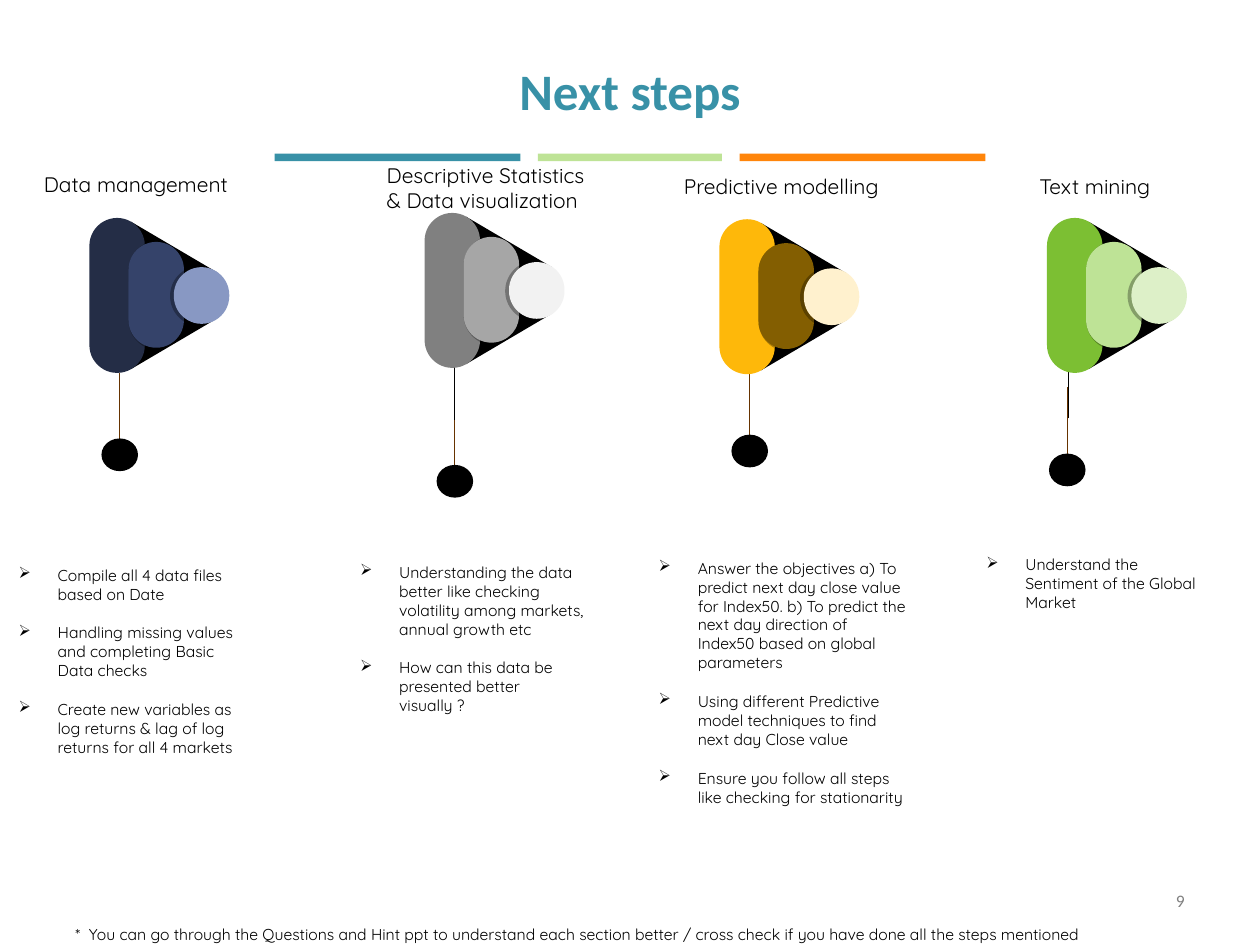
import math
from lxml import etree
from pptx import Presentation
from pptx.dml.color import RGBColor
from pptx.enum import shapes, text
from pptx.oxml import ns
from pptx.util import Inches, Pt

COLORS = {"black": "000000", "brown": "663300", "gray": "808080", "teal": "3891A7",
          "lime": "BEE396", "orange": "FF850A"}
TITLE = "Next steps"
PAGE_NUMBER = "9"
FOOTNOTE = ("*  You can go through the Questions and Hint ppt to understand each section better"
            " / cross check if you have done all the steps mentioned")
BARS = [(2.18, 1.95, "teal"), (4.27, 1.46, "lime"), (5.87, 1.95, "orange")]
BODY_SIZE = 9

# heading_box and body_box are left, top, width, height; stem is x, top, bottom
STEPS = [
    {"heading": ["Data management"], "heading_box": (0.25, 1.31, 3, 0.3),
     "gem": (0.71, 1.73), "shades": ["242D46", "35436A", "8898C3"],
     "stem": (0.95, 2.96, 3.69), "body_box": (0.05, 4.14, 1.97, 2.21),
     "points": ["Compile all 4 data files based on Date",
                "Handling missing values and completing Basic Data checks",
                "Create new variables as log returns & lag of log returns for all 4 markets"]},
    {"heading": ["Descriptive Statistics", "& Data visualization"],
     "heading_box": (2.97, 1.24, 3, 0.5),
     "gem": (3.37, 1.69), "shades": ["808080", "A6A6A6", "F2F2F2"],
     "stem": (3.61, 3.16, 3.9), "extension": (3.61, 2.9, 3.33),
     "body_box": (2.76, 4.11, 1.97, 1.92),
     "points": ["Understanding the data better like checking volatility among markets, "
                "annual growth etc",
                "How can this data be presented better visually ?"]},
    {"heading": ["Predictive modelling"], "heading_box": (5.33, 1.33, 3, 0.3),
     "gem": (5.71, 1.74), "shades": ["FEB80A", "835E01", "FFF1CE"],
     "stem": (5.95, 2.93, 3.66), "body_box": (5.13, 4.31, 2.17, 2.21),
     "points": ["Answer the objectives a) To predict next day close value for Index50. "
                "b) To predict the next day direction of Index50 based on global parameters",
                "Using different Predictive model techniques to find next day Close value",
                "Ensure you follow all steps like checking for stationarity"]},
    {"heading": ["Text mining"], "heading_box": (8.15, 1.33, 3, 0.3),
     "gem": (8.31, 1.73), "shades": ["7CBF33", "BEE396", "DDF0C8"],
     "stem": (8.47, 3.07, 3.81), "extension": (8.48, 2.71, 3.32),
     "body_box": (7.73, 4.1, 1.97, 1.06),
     "points": ["Understand the Sentiment of the Global Market"]},
]

# Gem geometry, measured from the gem's top left corner
WEDGE = [(0.33, 0.03), (1.01, 0.43), (1.1, 0.62), (1.01, 0.8), (0.33, 1.2)]
PILLS = [(0, 0, 0.44, 1.23), (0.31, 0.19, 0.44, 0.84), (0.67, 0.39, 0.44, 0.45)]
SHADES_BETWEEN = [(0.31, 0.42, 0.81), (0.64, 0.62, 0.62)]  # left, upper and lower arc centre
SHADE_RADIUS, SHADE_WIDTH = 0.24, 0.13
BALL_WIDTH, BALL_HEIGHT, BALL_OVERLAP = 0.29, 0.26, 0.21

deck = Presentation()
deck.slide_width, deck.slide_height = Inches(10), Inches(7.5)
page = deck.slides.add_slide(deck.slide_layouts[6])


def paint(shape, color, opacity=None):
    shape.shadow.inherit = False
    shape.fill.solid()
    shape.fill.fore_color.rgb = RGBColor.from_string(color)
    shape.line.fill.background()
    if opacity is not None:
        tint = shape.fill._xPr.find(".//" + ns.qn("a:srgbClr"))
        etree.SubElement(tint, ns.qn("a:alpha")).set("val", str(opacity * 1000))


def add_preset(kind, place, color):
    shape = page.shapes.add_shape(kind, *map(Inches, place))
    paint(shape, color)
    return shape


def add_outline(points, origin, color, opacity=None):
    corners = [(Inches(origin[0] + x), Inches(origin[1] + y)) for x, y in points]
    builder = page.shapes.build_freeform(*corners[0], scale=1.0)
    builder.add_line_segments(corners[1:], close=True)
    paint(builder.convert_to_shape(), color, opacity)


def add_stem(x, top, bottom, color):
    line = page.shapes.add_connector(shapes.MSO_CONNECTOR.STRAIGHT, Inches(x), Inches(bottom),
                                     Inches(x), Inches(top))
    line.line.color.rgb = RGBColor.from_string(COLORS[color])
    line.line.width = Pt(0.75)
    etree.SubElement(line._element.spPr, ns.qn("a:effectLst"))


def add_text(place, lines, size, font="Quicksand", color="black", bold=False, align=None,
             middle=False, bulleted=False):
    box = page.shapes.add_textbox(*map(Inches, place))
    frame = box.text_frame
    frame.word_wrap = True
    if middle:
        frame.vertical_anchor = text.MSO_ANCHOR.MIDDLE
    if bulleted:
        frame.margin_top = frame.margin_bottom = Inches(0.1)
    frame.text = "\n".join(lines)
    for number, paragraph in enumerate(frame.paragraphs):
        if align:
            paragraph.alignment = align
        if bulleted:
            if number:
                paragraph.space_before = Pt(size * 1.25)
            props = paragraph._p.get_or_add_pPr()
            props.set("marL", str(Inches(0.31)))
            props.set("indent", str(-Inches(0.31)))
            etree.SubElement(props, ns.qn("a:buChar")).set("char", "➢")
        for span in paragraph.runs:
            span.font.size, span.font.name, span.font.bold = Pt(size), font, bold
            span.font.color.rgb = RGBColor.from_string(COLORS[color])


def add_pill(gem, index, color):
    left, top, width, height = PILLS[index]
    pill = add_preset(shapes.MSO_SHAPE.ROUNDED_RECTANGLE,
                      (gem[0] + left, gem[1] + top, width, height), color)
    pill.adjustments[0] = 0.5


def crescent(left, upper, lower):
    """Shade with a rounded left side and a straight right side."""
    center = left + SHADE_RADIUS
    start = math.acos((SHADE_WIDTH - SHADE_RADIUS) / SHADE_RADIUS)
    angles = [start + (2 * math.pi - 2 * start) * step / 24 for step in range(25)]
    return [(center + SHADE_RADIUS * math.cos(angle),
             (lower if angle < math.pi else upper) + SHADE_RADIUS * math.sin(angle))
            for angle in angles]


def add_gem(gem, colors):
    add_outline(WEDGE, gem, COLORS["black"])
    add_pill(gem, 0, colors[0])
    for index, shade in enumerate(SHADES_BETWEEN, start=1):
        add_outline(crescent(*shade), gem, COLORS["black"], opacity=30)
        add_pill(gem, index, colors[index])


# Title, colour bars and footer
add_text((0.5, 0.27, 9, 0.89), [TITLE], 29.2, "Calibri", "teal", bold=True,
         align=text.PP_ALIGN.CENTER, middle=True)
for left, width, color in BARS:
    add_preset(shapes.MSO_SHAPE.RECTANGLE, (left, 1.22, width, 0.06), COLORS[color])
add_text((7.17, 6.95, 2.33, 0.4), [PAGE_NUMBER], 10, "Calibri", "gray",
         align=text.PP_ALIGN.RIGHT, middle=True)
add_text((0.5, 7.29, 9.27, 0.25), [FOOTNOTE], BODY_SIZE)

# One column per step
for step in STEPS:
    x, top, bottom = step["stem"]
    add_stem(x, top, bottom, "brown")
    if "extension" in step:
        add_stem(*step["extension"], "black")
    add_preset(shapes.MSO_SHAPE.OVAL, (x - BALL_WIDTH / 2, bottom - BALL_OVERLAP,
                                       BALL_WIDTH, BALL_HEIGHT), COLORS["black"])
    add_gem(step["gem"], step["shades"])
    add_text(step["heading_box"], step["heading"], 12)
    add_text(step["body_box"], step["points"], BODY_SIZE, middle=True, bulleted=True)

deck.save("out.pptx")
